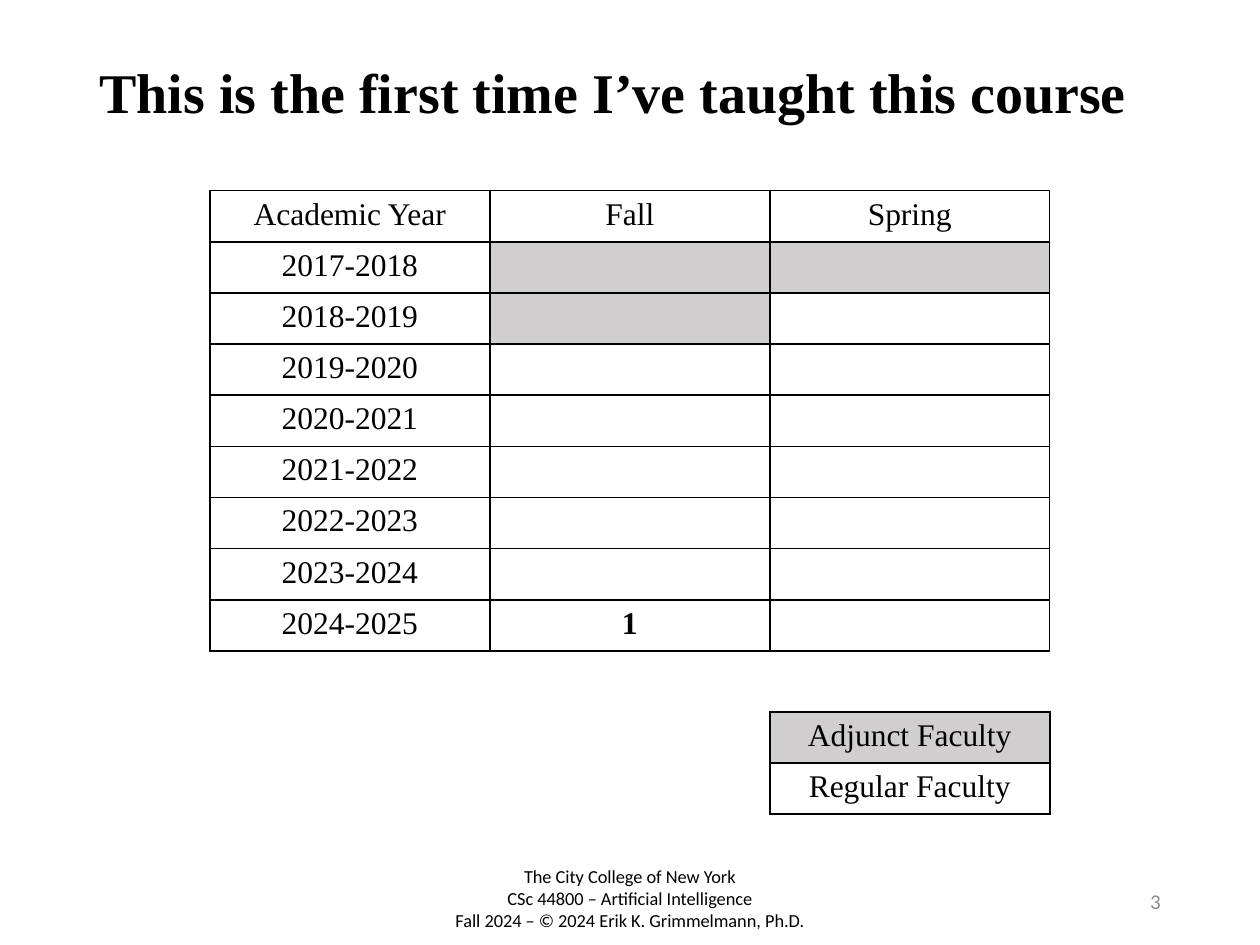
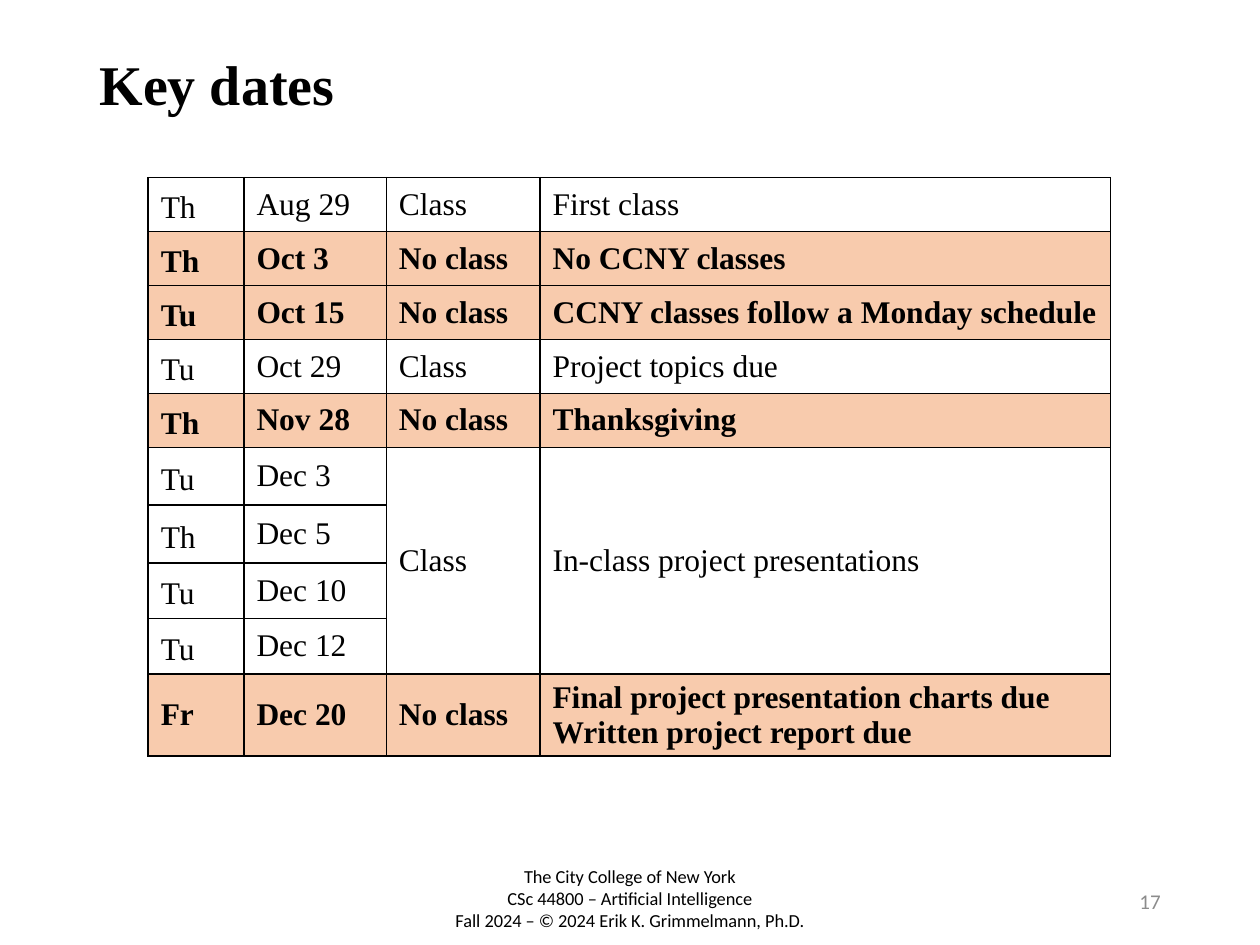
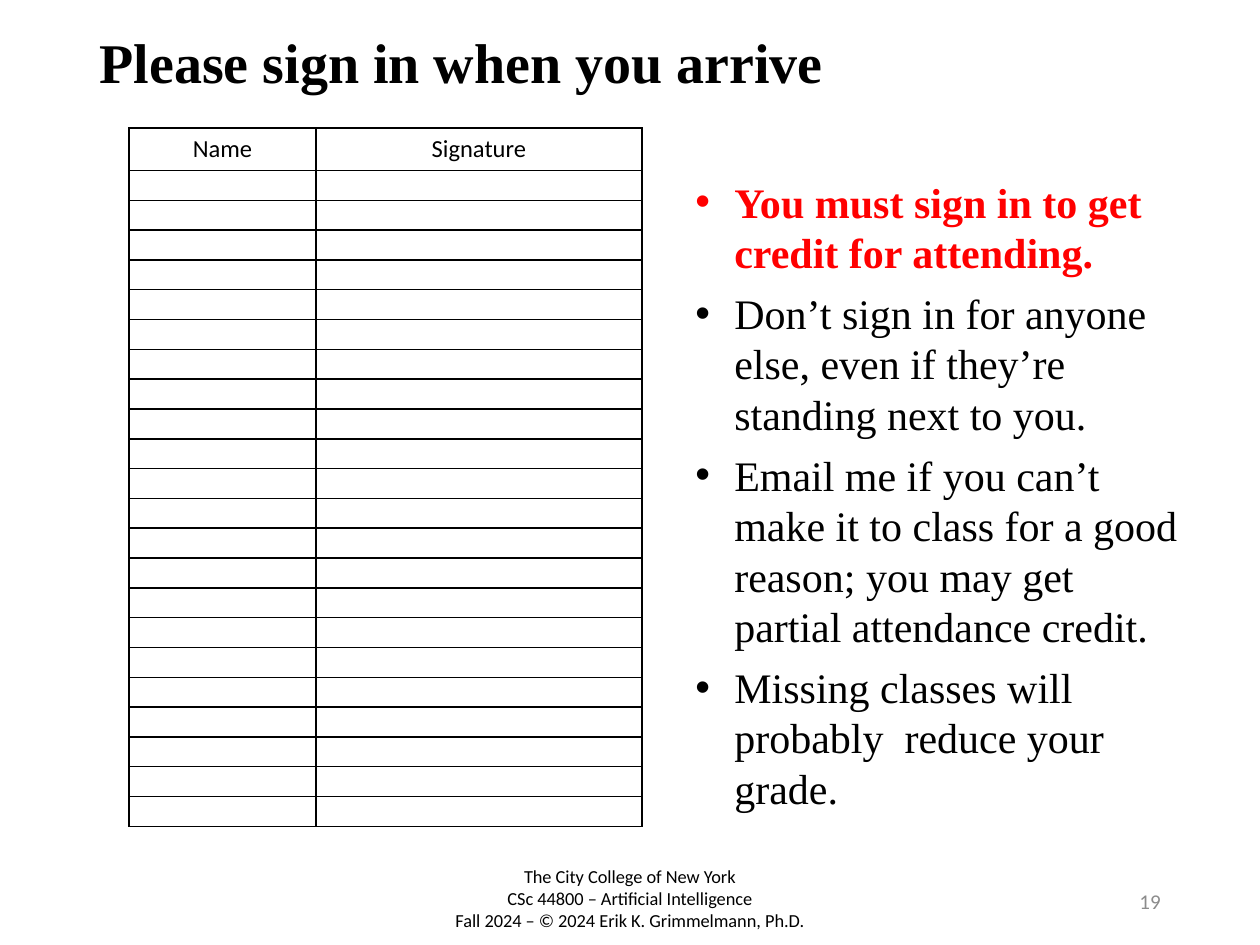
from lxml.etree import SubElement
from pptx import Presentation
from pptx.dml.color import RGBColor
from pptx.enum.text import MSO_ANCHOR, MSO_AUTO_SIZE, PP_ALIGN
from pptx.oxml.ns import qn
from pptx.util import Inches, Pt

BLACK = RGBColor(0x00, 0x00, 0x00)
GRAY = RGBColor(0x8C, 0x8C, 0x8C)
SILVER = RGBColor(0xD0, 0xCE, 0xCE)
PEACH = RGBColor(0xF8, 0xCB, 0xAD)
RED = RGBColor(0xFF, 0x00, 0x00)
SERIF, SANS = "Times New Roman", "Calibri"
LEFT, MID, RIGHT = PP_ALIGN.LEFT, PP_ALIGN.CENTER, PP_ALIGN.RIGHT
COLS, ROWS = 100, 75
WIDE, HIGH = Inches(10), Inches(7.5)
FOOT = """The City College of New York
CSc 44800 – Artificial Intelligence
Fall 2024 – © 2024 Erik K. Grimmelmann, Ph.D."""
YEARS = [f"{year}-{year + 1}" for year in range(2017, 2025)]
DATES = [
    ("Th", "Aug 29", "Class", "First class"),
    ("Th", "Oct 3", "No class", "No CCNY classes"),
    ("Tu", "Oct 15", "No class", "CCNY classes follow a Monday schedule"),
    ("Tu", "Oct 29", "Class", "Project topics due"),
    ("Th", "Nov 28", "No class", "Thanksgiving"),
    ("Tu", "Dec 3", "Class", "In-class project presentations"),
    ("Th", "Dec 5", "", ""),
    ("Tu", "Dec 10", "", ""),
    ("Tu", "Dec 12", "", ""),
    ("Fr", "Dec 20", "No class",
     "Final project presentation charts due\nWritten project report due"),
]
RULES = [
    "You must sign in to get credit for attending.",
    "Don’t sign in for anyone else, even if they’re standing next to you.",
    "Email me if you can’t make it to class for a good reason; "
    "you may get partial attendance credit.",
    "Missing classes will probably  reduce your grade.",
]


class Deck:
    """Holds the shared style and the current slide, on a grid of 100 by 75."""

    def __init__(self):
        self.prs = Presentation()
        self.prs.slide_width, self.prs.slide_height = WIDE, HIGH
        self.slide = None

    def across(self, count):
        return round(WIDE * count / COLS)

    def down(self, count):
        return round(HIGH * count / ROWS)

    def box(self, left, top, width, height):
        return (self.across(left), self.down(top),
                self.across(width), self.down(height))

    def style(self, para, face, size, color=BLACK, bold=False, align=LEFT):
        para.alignment = align
        font = para.font
        font.name, font.size, font.bold = face, Pt(size), bold
        font.color.rgb = color

    def page(self, title, number, top, height):
        self.slide = self.prs.slides.add_slide(self.prs.slide_layouts[5])
        head = self.slide.shapes.title
        head.left, head.top, head.width, head.height = self.box(
            6.9, top, 86.2, height)
        frame = head.text_frame
        frame.text = title
        frame.auto_size = MSO_AUTO_SIZE.NONE
        frame.vertical_anchor = MSO_ANCHOR.MIDDLE
        para = frame.paragraphs[0]
        para.line_spacing = 0.9
        self.style(para, SERIF, 32, bold=True)
        self.text(FOOT, (33.45, 68.2, 33.1, 5.3), SANS, 10.5, align=MID)
        page = self.text(str(number), (70.6, 69.5, 22.5, 4), SANS, 12,
                         GRAY, RIGHT)
        page.vertical_anchor = MSO_ANCHOR.MIDDLE

    def text(self, words, place, face, size, color=BLACK, align=LEFT):
        frame = self.slide.shapes.add_textbox(*self.box(*place)).text_frame
        frame.word_wrap = True
        frame.text = words
        for para in frame.paragraphs:
            self.style(para, face, size, color, align=align)
        return frame

    def bullets(self, items, place, size):
        frame = self.text("\n".join(items), place, SERIF, size)
        indent = self.across(3.1)
        for para in frame.paragraphs:
            para.space_before = Pt(6)
            props = para._p.get_or_add_pPr()
            props.set("marL", str(indent))
            props.set("indent", str(-indent))
            font = props.find(qn("a:defRPr"))
            for tag, name, value in (("a:buFont", "typeface", "Arial"),
                                     ("a:buChar", "char", "•")):
                font.addprevious(props.makeelement(qn(tag), {name: value}))
        return frame

    def border(self, cell):
        props = cell._tc.get_or_add_tcPr()
        for side in ("lnL", "lnR", "lnT", "lnB"):
            line = SubElement(props, qn(f"a:{side}"), w=str(Pt(1)))
            fill = SubElement(line, qn("a:solidFill"))
            SubElement(fill, qn("a:srgbClr"), val=str(BLACK))

    def table(self, data, left, top, widths, heights, face=SERIF, size=18,
              align=MID, blank=18):
        place = self.box(left, top, sum(widths), sum(heights))
        grid = self.slide.shapes.add_table(
            len(heights), len(widths), *place).table
        grid.first_row = grid.horz_banding = False
        for column, width in zip(grid.columns, widths):
            column.width = self.across(width)
        for row, height, words in zip(grid.rows, heights, data):
            row.height = self.down(height)
            for cell, word in zip(row.cells, words):
                cell.text = word
                self.border(cell)
                cell.fill.background()
                for para in cell.text_frame.paragraphs:
                    self.style(para, face, size if word else blank,
                               align=align)
                    if not word:
                        SubElement(para._p, qn("a:endParaRPr"),
                                   sz=str(blank * 100))
        return grid

    def shade(self, cell, color):
        cell.fill.solid()
        cell.fill.fore_color.rgb = color


def years(deck):
    deck.page("This is the first time I’ve taught this course", 3, 4, 7.1)
    data = [("Academic Year", "Fall", "Spring")]
    data += [(year, "", "") for year in YEARS[:-1]]
    data.append((YEARS[-1], "1", ""))
    grid = deck.table(data, 16.66, 15.13, [22.22] * 3, [4.06] * len(data))
    for row, col in ((1, 1), (1, 2), (2, 1)):
        deck.shade(grid.cell(row, col), SILVER)
    grid.cell(len(YEARS), 1).text_frame.paragraphs[0].font.bold = True
    key = deck.table([("Adjunct Faculty",), ("Regular Faculty",)],
                     61.1, 56.5, [22.22], [4.06] * 2)
    deck.shade(key.cell(0, 0), SILVER)


def dates(deck):
    deck.page("Key dates", 17, 3.95, 6)
    heights = [4.28] * 5 + [4.6] * 2 + [4.4] * 2 + [6.5]
    grid = deck.table(DATES, 11.76, 14.1, [7.6, 11.3, 12.2, 45.3], heights,
                      align=LEFT)
    for row, words in zip(grid.rows, DATES):
        for cell in row.cells:
            cell.vertical_anchor = MSO_ANCHOR.MIDDLE
            cell.margin_top = cell.margin_bottom = Inches(0.02)
            if words[2] == "No class":
                deck.shade(cell, PEACH)
                for para in cell.text_frame.paragraphs:
                    para.font.bold = True
        if words[0] != "Fr":
            row.cells[0].margin_top = Inches(0.07)
    for col in (2, 3):
        grid.cell(5, col).merge(grid.cell(8, col))


def signin(deck):
    deck.page("Please sign in when you arrive", 19, 1.6, 7.2)
    data = [("Name", "Signature")] + [("", "")] * 22
    deck.table(data, 10.24, 10.16, [14.85, 25.85], [3.37] + [2.37] * 22,
               SANS, 14, blank=8)
    rules = deck.bullets(RULES, (54.2, 13.5, 40.7, 52), 24)
    first = rules.paragraphs[0].font
    first.bold, first.color.rgb = True, RED


def main():
    deck = Deck()
    for build in (years, dates, signin):
        build(deck)
    deck.prs.save("out.pptx")


if __name__ == "__main__":
    main()
